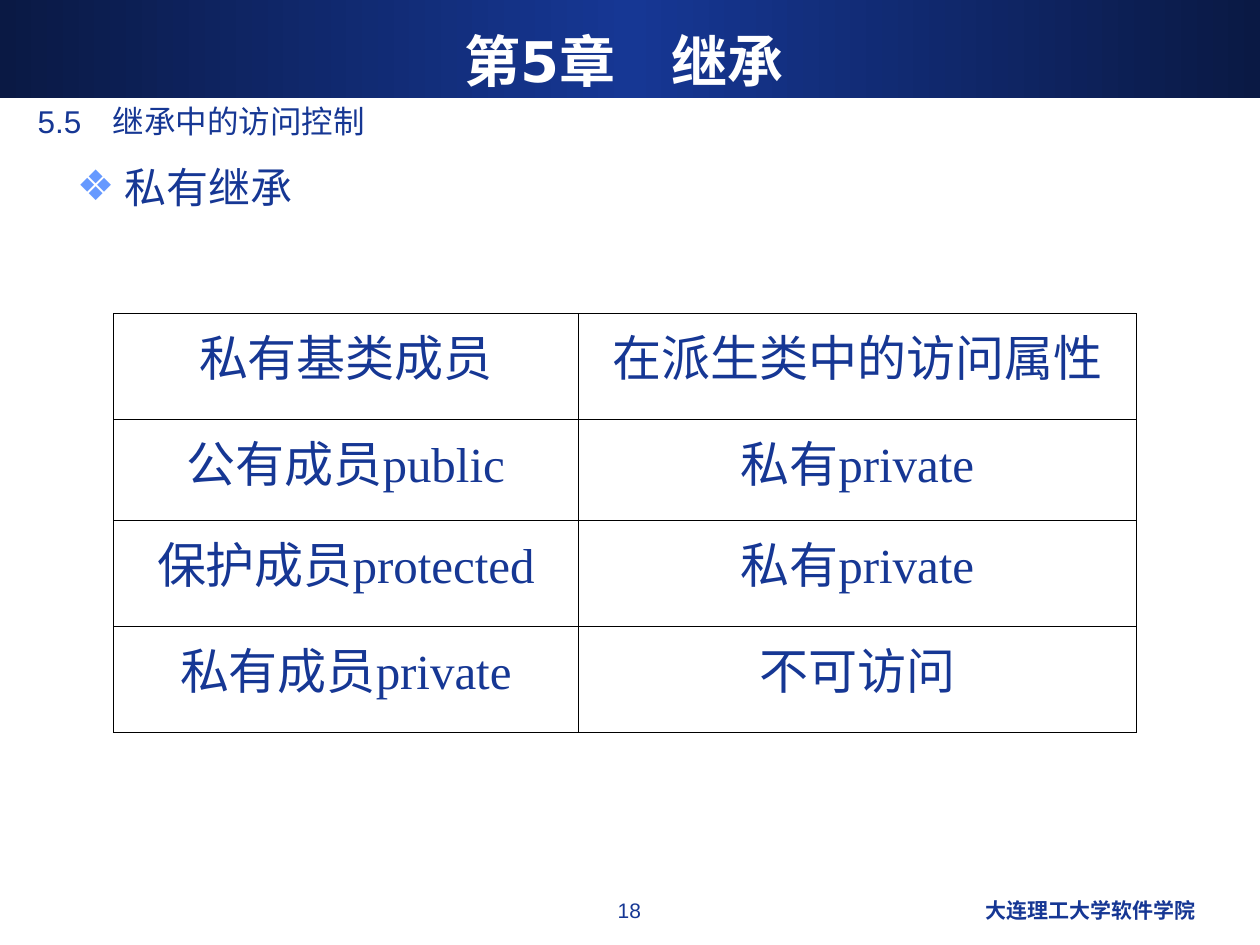
"""Build the slide on access control under private inheritance."""
import copy

from lxml import etree
from pptx import Presentation
from pptx import util as u
from pptx.dml.color import RGBColor
from pptx.enum import shapes, text
from pptx.oxml import ns

NAVY, DARK, WHITE, BLACK, SKY = "163794", "0A1944", "FFFFFF", "000000", "6699FF"
ALIGN = text.PP_ALIGN
ROWS = [
    ("私有基类成员", "在派生类中的访问属性"),
    ("公有成员public", "私有private"),
    ("保护成员protected", "私有private"),
    ("私有成员private", "不可访问"),
]
COL_WIDTHS = (3.69, 4.43)
ROW_HEIGHTS = (0.84, 0.8, 0.84, 0.84)


def rgb(value):
    """Turn a hex string into a colour."""
    return RGBColor.from_string(value)


def place(sp, left, top, width, height):
    """Move and size a shape, in inches."""
    sp.left, sp.top = u.Inches(left), u.Inches(top)
    sp.width, sp.height = u.Inches(width), u.Inches(height)


def add_run(p, words, size, font="Arial", color=NAVY, bold=False):
    """Add one formatted run to a paragraph."""
    r = p.add_run()
    r.text = words
    r.font.size, r.font.name, r.font.bold = u.Pt(size), font, bold
    r.font.color.rgb = rgb(color)


def add_banner(slide):
    """Add the gradient band behind the title."""
    sp = slide.shapes.add_shape(
        shapes.MSO_SHAPE.RECTANGLE, 0, 0, u.Inches(10), u.Inches(0.78))
    sp.shadow.inherit = False
    sp.line.fill.background()
    sp.fill.gradient()
    sp.fill.gradient_angle = 0
    stops = next(sp._element.iter(ns.qn("a:gsLst")))
    stops.append(copy.deepcopy(stops[-1]))
    for stop, pos, color in zip(sp.fill.gradient_stops, (0, 0.5, 1), (DARK, NAVY, DARK)):
        stop.position = pos
        stop.color.rgb = rgb(color)
    slide.shapes._spTree.insert(2, sp._element)


def add_title(slide, words):
    """Fill the title placeholder."""
    sp = slide.shapes.title
    place(sp, 0.33, 0.17, 9.25, 0.62)
    tf = sp.text_frame
    tf.auto_size = text.MSO_AUTO_SIZE.NONE
    tf.vertical_anchor = text.MSO_ANCHOR.MIDDLE
    p = tf.paragraphs[0]
    p.alignment = ALIGN.CENTER
    add_run(p, words, 32, "DejaVu Sans", WHITE, True)


def add_bullet(slide, words):
    """Fill the body placeholder with one bulleted line."""
    sp = slide.placeholders[1]
    place(sp, 0.51, 1.23, 9, 5.74)
    tf = sp.text_frame
    tf.auto_size = text.MSO_AUTO_SIZE.NONE
    p = tf.paragraphs[0]
    pPr = p._p.get_or_add_pPr()
    pPr.set("marL", str(u.Inches(0.38)))
    pPr.set("indent", str(-u.Inches(0.38)))
    color = etree.SubElement(pPr, ns.qn("a:buClr"))
    etree.SubElement(color, ns.qn("a:srgbClr"), val=SKY)
    etree.SubElement(pPr, ns.qn("a:buChar"), char="❖")
    p.space_before = u.Pt(0)
    add_run(p, words, 24)


def add_label(slide, words, box, size, align, bold=False):
    """Add a one-line text box."""
    sp = slide.shapes.add_textbox(*map(u.Inches, box))
    tf = sp.text_frame
    tf.word_wrap = True
    p = tf.paragraphs[0]
    p.alignment = align
    add_run(p, words, size, bold=bold)


def set_borders(cell):
    """Draw thin black lines on all sides of a cell."""
    tcPr = cell._tc.get_or_add_tcPr()
    for side in ("lnL", "lnR", "lnT", "lnB"):
        ln = etree.SubElement(tcPr, ns.qn(f"a:{side}"), w=str(u.Pt(0.45)))
        fill = etree.SubElement(ln, ns.qn("a:solidFill"))
        etree.SubElement(fill, ns.qn("a:srgbClr"), val=BLACK)


def add_access_table(slide):
    """Add the table of base members and their access in the derived class."""
    frame = slide.shapes.add_table(
        len(ROWS), len(COL_WIDTHS), u.Inches(0.9), u.Inches(2.49),
        u.Inches(sum(COL_WIDTHS)), u.Inches(sum(ROW_HEIGHTS)))
    table = frame.table
    table.first_row = table.horz_banding = False
    for column, width in zip(table.columns, COL_WIDTHS):
        column.width = u.Inches(width)
    for row, height, words in zip(table.rows, ROW_HEIGHTS, ROWS):
        row.height = u.Inches(height)
        for cell, label in zip(row.cells, words):
            cell.margin_left = cell.margin_right = u.Inches(0.08)
            set_borders(cell)
            cell.fill.background()
            p = cell.text_frame.paragraphs[0]
            p.alignment = ALIGN.CENTER
            add_run(p, label, 28, "Times New Roman")


def main():
    """Build and save the slide."""
    prs = Presentation()
    prs.slide_width, prs.slide_height = u.Inches(10), u.Inches(7.5)
    slide = prs.slides.add_slide(prs.slide_layouts[1])
    add_banner(slide)
    add_title(slide, "第5章　继承")
    add_bullet(slide, "私有继承")
    add_label(slide, "18", (3.83, 7.07, 2.33, 0.35), 12, ALIGN.CENTER)
    add_label(slide, "大连理工大学软件学院", (6.42, 7.07, 3.17, 0.35), 12, ALIGN.RIGHT, True)
    add_label(slide, "5.5　继承中的访问控制", (0.2, 0.76, 9.25, 0.41), 18, ALIGN.LEFT)
    add_access_table(slide)
    prs.save("out.pptx")


if __name__ == "__main__":
    main()
